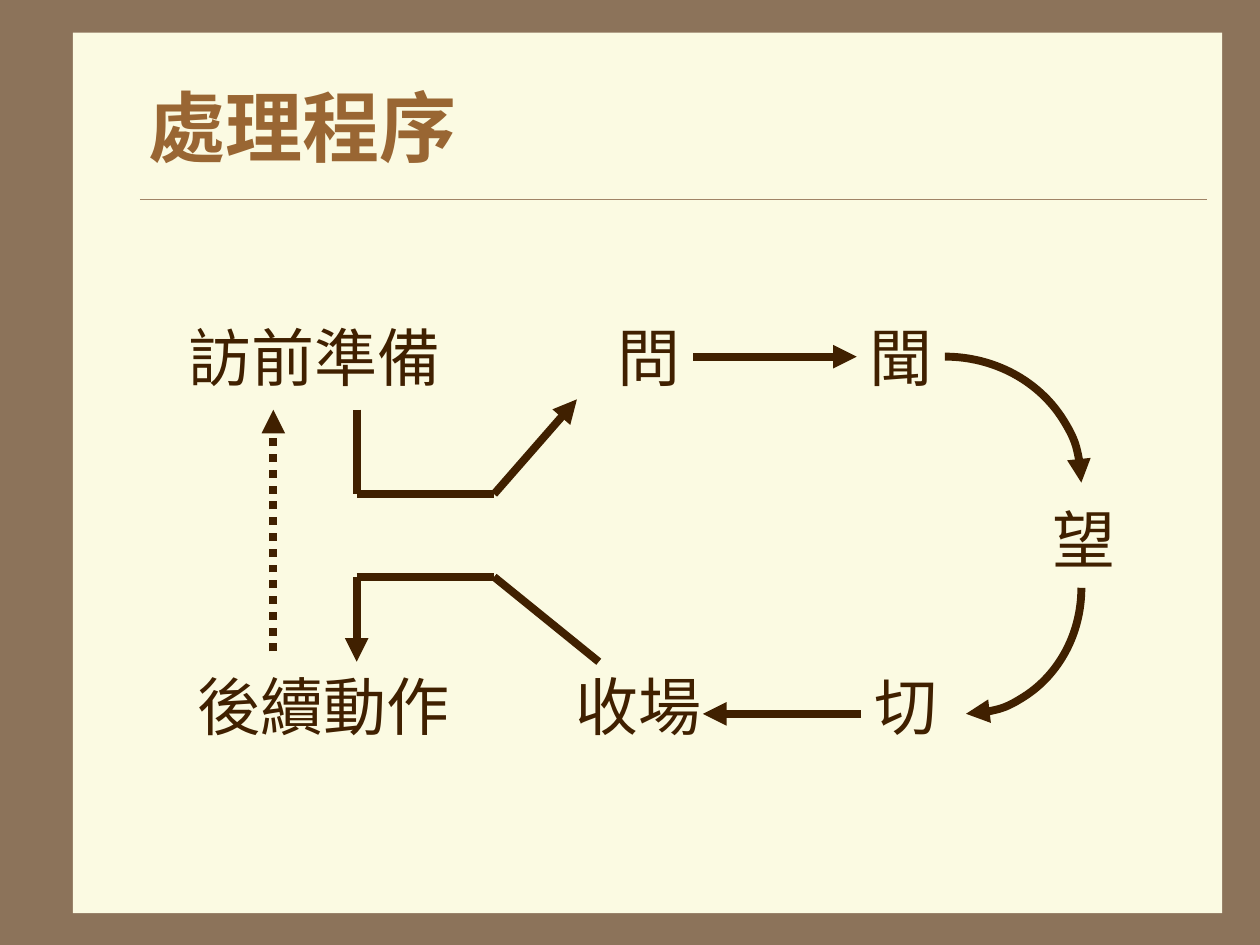
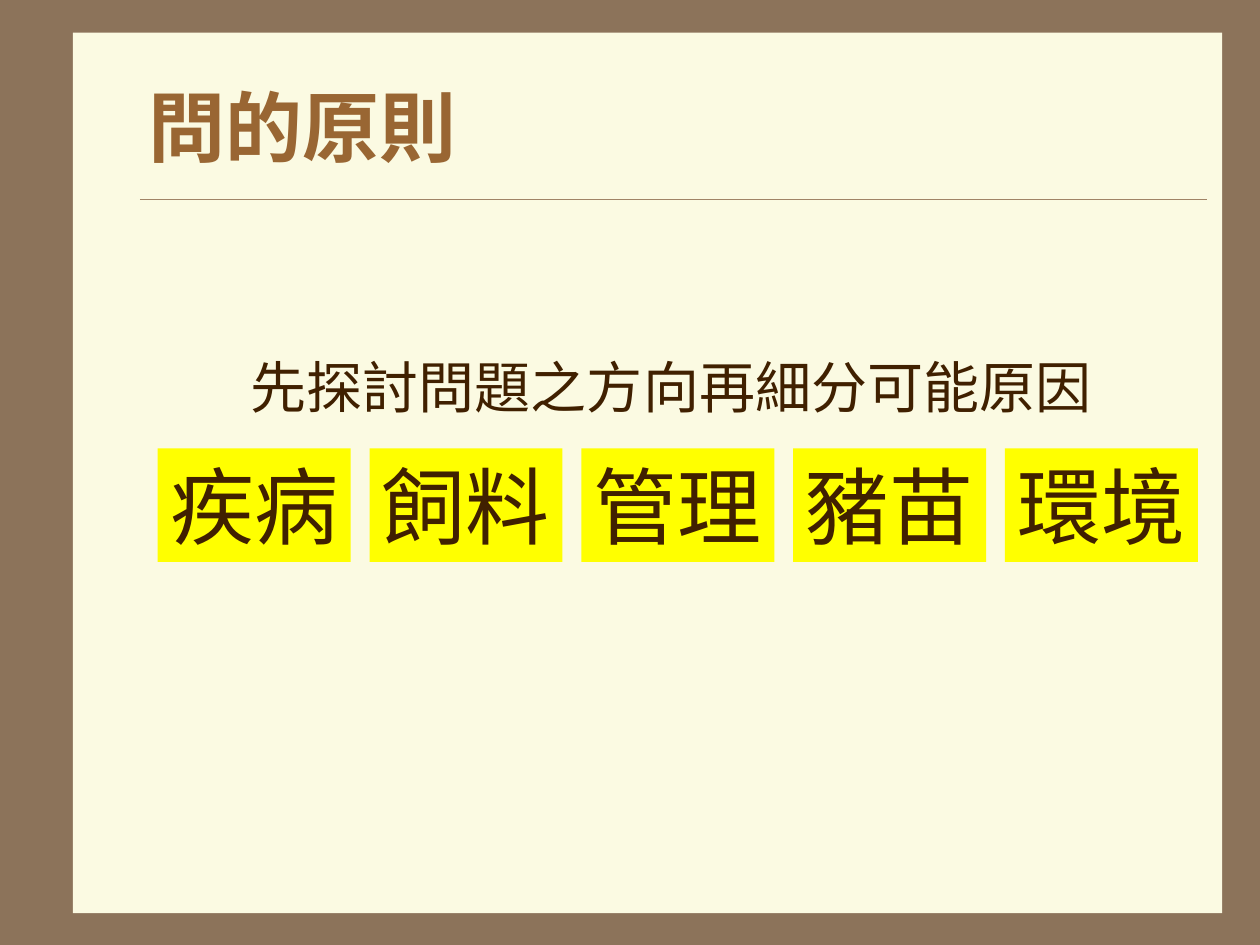
"""Build two slides on the farm visit process and its questions."""
from dataclasses import dataclass
from typing import Any, Optional

from lxml.etree import SubElement
from pptx import Presentation
from pptx.dml.color import RGBColor
from pptx.enum.dml import MSO_LINE
from pptx.enum.shapes import MSO_CONNECTOR, MSO_SHAPE
from pptx.enum.text import MSO_ANCHOR, MSO_AUTO_SIZE, PP_ALIGN
from pptx.oxml.ns import qn
from pptx.util import Cm, Pt


@dataclass(frozen=True)
class Theme:
    frame: str = "8C735A"
    panel: str = "FBFAE2"
    rule: str = "A08366"
    title: str = "996633"
    ink: str = "402000"
    tile: str = "FFFF00"
    head_font: str = "Arial"
    step_font: str = "Times New Roman"
    title_size: float = 44
    lead_size: float = 32
    step_size: float = 36
    tile_size: float = 48
    thin: float = 0.25
    thick: float = 4.5


@dataclass(frozen=True)
class Box:
    left: float
    top: float
    width: float
    height: float

    def place(self) -> tuple:
        return Cm(self.left), Cm(self.top), Cm(self.width), Cm(self.height)


@dataclass(frozen=True)
class Step:
    text: str
    left: float
    top: float

    def box(self) -> Box:
        return Box(self.left, self.top, 0.51 + 1.27 * len(self.text), 1.78)


@dataclass(frozen=True)
class Link:
    start: tuple[float, float]
    end: tuple[float, float]
    arrow: bool = False
    dotted: bool = False


@dataclass(frozen=True)
class Bend:
    box: Box
    angles: tuple[int, int]


THEME = Theme()
PANEL = Box(1.47, 0.66, 23.17, 17.75)
TITLE = Box(2.74, 1.27, 21.59, 2.54)
LEAD = Box(2.74, 6.99, 21.59, 9.53)
RULE = Link((2.82, 4.01), (24.33, 4.01))

ROW_TOP, ROW_END = 6.3, 13.34
ASK = Step("問", 12.19, ROW_TOP)
HEAR = Step("聞", 17.27, ROW_TOP)
STEPS = [
    Step("訪前準備", 3.56, ROW_TOP),
    ASK,
    HEAR,
    Step("望", 20.96, 9.96),
    Step("切", 17.37, ROW_END),
    Step("收場", 11.35, ROW_END),
    Step("後續動作", 3.73, ROW_END),
]

STEM, KNEE, UPPER, LOWER = 7.19, 9.96, 9.96, 11.63
LINKS = [
    Link((STEM, 8.26), (STEM, UPPER)),
    Link((STEM, UPPER), (KNEE, UPPER)),
    Link((KNEE, UPPER), (11.63, 8.05), arrow=True),
    Link((STEM, LOWER), (KNEE, LOWER)),
    Link((STEM, LOWER), (STEM, ROW_END), arrow=True),
    Link((5.51, 13.13), (5.51, 8.26), arrow=True, dotted=True),
    Link((KNEE, LOWER), (12.07, ROW_END)),
    Link((17.35, 14.39), (14.17, 14.39), arrow=True),
]
BENDS = [
    Bend(Box(16.3, 7.19, 5.5, 5.08), (270, 0)),
    Bend(Box(17.15, 9.31, 4.65, 5.08), (0, 90)),
]

CAUSES = ["疾病", "飼料", "管理", "豬苗", "環境"]
TILE = Box(3.18, 9.04, 3.89, 2.29)
PITCH = 4.27


def write(shape: Any, text: str, font: str, size: float, color: str,
          bold: bool = False, align: PP_ALIGN = PP_ALIGN.LEFT,
          anchor: MSO_ANCHOR = MSO_ANCHOR.TOP, wrap: bool = False) -> None:
    frame = shape.text_frame
    frame.text = text
    frame.word_wrap = wrap
    frame.auto_size = MSO_AUTO_SIZE.NONE if wrap else MSO_AUTO_SIZE.SHAPE_TO_FIT_TEXT
    frame.vertical_anchor = anchor
    line = frame.paragraphs[0]
    line.alignment = align
    for run in line.runs:
        run.font.name = font
        run.font.size = Pt(size)
        run.font.bold = bold
        run.font.color.rgb = RGBColor.from_string(color)


def block(slide: Any, box: Box, fill: str) -> Any:
    shape = slide.shapes.add_shape(MSO_SHAPE.RECTANGLE, *box.place())
    shape.shadow.inherit = False
    shape.fill.solid()
    shape.fill.fore_color.rgb = RGBColor.from_string(fill)
    shape.line.fill.background()
    return shape


def stroke(shape: Any, color: str, width: float, arrow: bool = False,
           dotted: bool = False) -> None:
    shape.line.color.rgb = RGBColor.from_string(color)
    shape.line.width = Pt(width)
    if dotted:
        shape.line.dash_style = MSO_LINE.ROUND_DOT
    if arrow:
        edge = shape.element.spPr.find(qn("a:ln"))
        SubElement(edge, qn("a:tailEnd")).set("type", "triangle")


def join(slide: Any, link: Link, color: str = THEME.ink, width: float = THEME.thick,
         source: Optional[Any] = None, target: Optional[Any] = None) -> None:
    ends = [Cm(value) for value in link.start + link.end]
    line = slide.shapes.add_connector(MSO_CONNECTOR.STRAIGHT, *ends)
    if source is not None:
        line.begin_connect(source, 3)
    if target is not None:
        line.end_connect(target, 1)
    stroke(line, color, width, link.arrow, link.dotted)
    SubElement(line.element.spPr, qn("a:effectLst"))


def curve(slide: Any, bend: Bend) -> None:
    arc = slide.shapes.add_shape(MSO_SHAPE.ARC, *bend.box.place())
    for index, angle in enumerate(bend.angles):
        arc.adjustments[index] = angle * 0.6
    arc.fill.background()
    stroke(arc, THEME.ink, THEME.thick, arrow=True)
    arc.shadow.inherit = False


def start(deck: Any, title: str) -> Any:
    slide = deck.slides.add_slide(deck.slide_layouts[6])
    back = slide.background.fill
    back.solid()
    back.fore_color.rgb = RGBColor.from_string(THEME.frame)
    block(slide, PANEL, THEME.panel)
    join(slide, RULE, THEME.rule, THEME.thin)
    write(slide.shapes.add_textbox(*TITLE.place()), title, THEME.head_font,
          THEME.title_size, THEME.title, bold=True,
          anchor=MSO_ANCHOR.MIDDLE, wrap=True)
    return slide


def process(deck: Any) -> None:
    slide = start(deck, "處理程序")
    boxes = {}
    for step in STEPS:
        boxes[step] = slide.shapes.add_textbox(*step.box().place())
        write(boxes[step], step.text, THEME.step_font, THEME.step_size, THEME.ink)
    for link in LINKS:
        join(slide, link)
    join(slide, Link((13.97, STEM), (17.27, STEM), arrow=True),
         source=boxes[ASK], target=boxes[HEAR])
    for bend in BENDS:
        curve(slide, bend)


def rules(deck: Any) -> None:
    slide = start(deck, "問的原則")
    write(slide.shapes.add_textbox(*LEAD.place()), "先探討問題之方向再細分可能原因",
          THEME.head_font, THEME.lead_size, THEME.ink,
          align=PP_ALIGN.CENTER, wrap=True)
    for index, cause in enumerate(CAUSES):
        box = Box(TILE.left + index * PITCH, TILE.top, TILE.width, TILE.height)
        write(block(slide, box, THEME.tile), cause, THEME.step_font,
              THEME.tile_size, THEME.ink)


def main() -> None:
    deck = Presentation()
    deck.slide_width, deck.slide_height = Cm(25.4), Cm(19.05)
    process(deck)
    rules(deck)
    deck.save("out.pptx")


if __name__ == "__main__":
    main()
